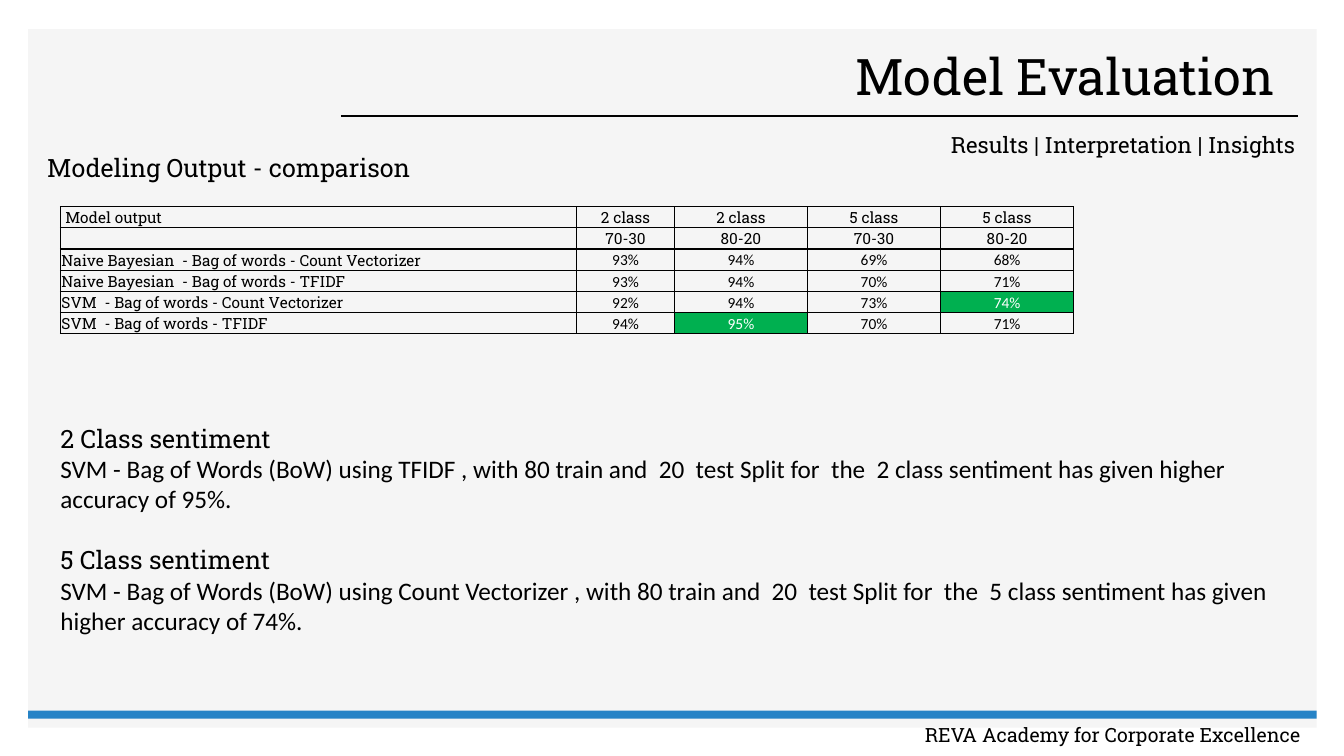
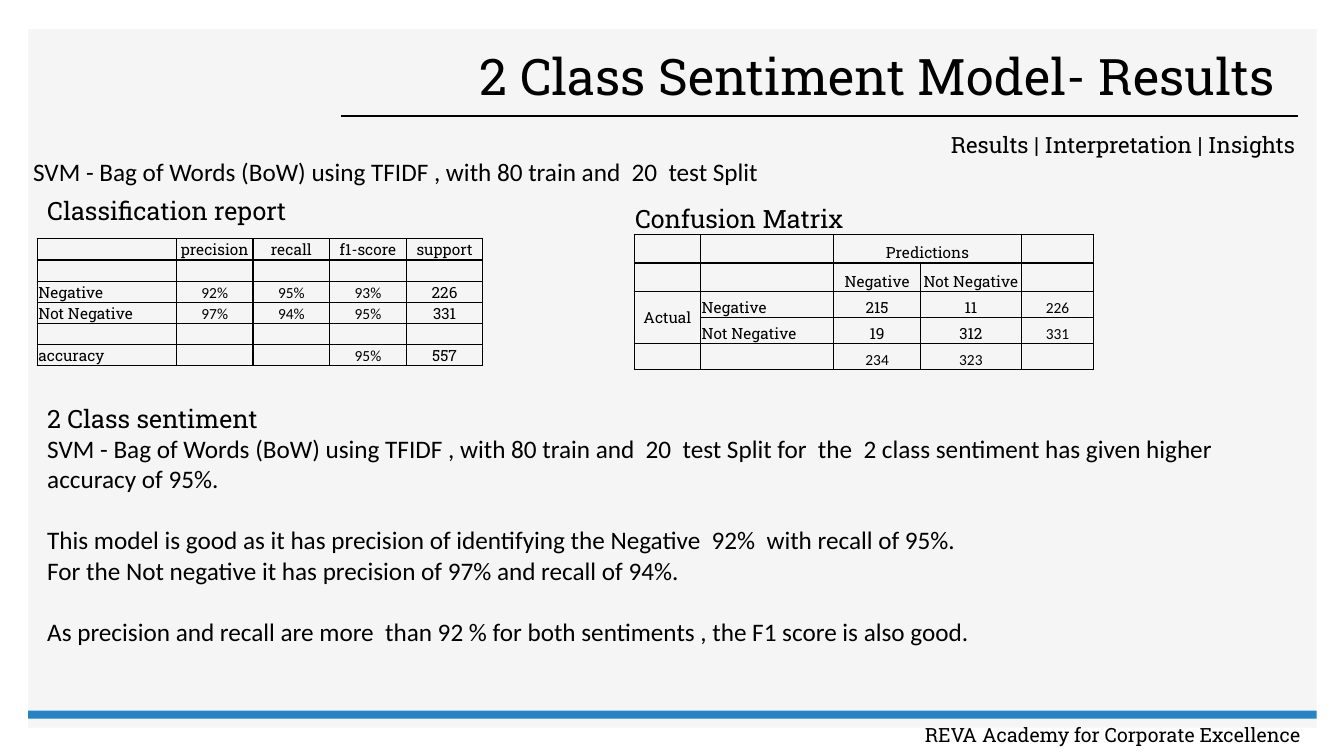
from lxml.etree import SubElement
from pptx import Presentation
from pptx.dml.color import RGBColor
from pptx.enum.shapes import MSO_CONNECTOR, MSO_SHAPE
from pptx.enum.text import MSO_ANCHOR, MSO_AUTO_SIZE, PP_ALIGN
from pptx.oxml.ns import qn
from pptx.util import Pt

PX = 9144  # 100 px to the inch
SLAB, SANS = "Roboto Slab", "Calibri"
COLORS = {
    "ink": "000000",
    "panel": "F5F5F5",
    "band": "2683C6",
    "best": "00B050",
    "white": "FFFFFF",
}


def px(*sizes):
    return [size * PX for size in sizes]


def rgb(name):
    return RGBColor.from_string(COLORS[name])


class Deck:
    """Holds the style, the presentation and the current slide."""

    def __init__(self):
        self.prs = Presentation()
        self.prs.slide_width, self.prs.slide_height = px(1333, 750)
        self.layout = self.prs.slide_layouts[5]
        for holder in list(self.layout.placeholders)[1:]:
            holder._element.getparent().remove(holder._element)
        self.slide = None

    def page(self, title):
        self.slide = self.prs.slides.add_slide(self.layout)
        if len(self.prs.slides) == 1:
            self.frame()
        head = self.slide.shapes.title
        head.left, head.top, head.width, head.height = px(370, 42, 917, 73)
        frame = head.text_frame
        frame.text = title
        frame.auto_size = MSO_AUTO_SIZE.NONE
        frame.vertical_anchor = MSO_ANCHOR.MIDDLE
        para = frame.paragraphs[0]
        para.line_spacing = 0.9
        self.style(para, 36, align=PP_ALIGN.RIGHT)
        self.text((673, 125, 627, 37), "Results | Interpretation | Insights ",
                  size=16, align=PP_ALIGN.RIGHT)

    def frame(self):
        """Draw the shared parts once and move them to the layout."""
        parts = [
            self.rect((28, 29, 1278, 693), "panel"),
            self.line(338, 115, 1287, 115),
            self.rect((28, 705, 1278, 8), "band"),
            self.text((782, 712, 523, 34),
                      "REVA Academy for Corporate Excellence ",
                      size=14, align=PP_ALIGN.RIGHT),
        ]
        for part in parts:
            self.layout.shapes._spTree.append(part._element)

    def style(self, para, size, font=SLAB, color="ink", align=PP_ALIGN.LEFT):
        para.alignment = align
        para.font.size = Pt(size)
        para.font.name = font
        para.font.color.rgb = rgb(color)

    def rect(self, box, color):
        shape = self.slide.shapes.add_shape(MSO_SHAPE.RECTANGLE, *px(*box))
        shape.shadow.inherit = False
        shape.fill.solid()
        shape.fill.fore_color.rgb = rgb(color)
        shape.line.fill.background()
        return shape

    def line(self, *ends):
        line = self.slide.shapes.add_connector(MSO_CONNECTOR.STRAIGHT,
                                               *px(*ends))
        line.line.color.rgb = rgb("ink")
        line.line.width = Pt(1)
        SubElement(line._element.spPr, qn("a:effectLst"))
        return line

    def text(self, box, words, size=18, font=SLAB, align=PP_ALIGN.LEFT):
        shape = self.slide.shapes.add_textbox(*px(*box))
        shape.text_frame.word_wrap = True
        para = shape.text_frame.paragraphs[0]
        para.text = words
        self.style(para, size, font, align=align)
        return shape

    def story(self, box, paras):
        """Add paragraphs, each given as text, font and space before."""
        frame = self.slide.shapes.add_textbox(*px(*box)).text_frame
        frame.word_wrap = True
        for i, (words, font, gap) in enumerate(paras):
            para = frame.add_paragraph() if i else frame.paragraphs[0]
            para.text = words
            if gap:
                para.space_before = Pt(gap)
            self.style(para, 18, font)

    def table(self, spot, cols, rows, data, left=0, best=(), sans=(),
              spans=()):
        """Left is the left-aligned column; best and sans list cell texts."""
        size = sum(cols), sum(rows)
        table = self.slide.shapes.add_table(len(rows), len(cols),
                                            *px(*spot, *size)).table
        table.first_row = table.horz_banding = False
        for col, width in zip(table.columns, px(*cols)):
            col.width = width
        for row, height in zip(table.rows, px(*rows)):
            row.height = height
        for r, words in enumerate(data):
            for c, word in enumerate(words):
                self.cell(table.cell(r, c), word, c == left, word in best,
                          word.endswith("%") or word in sans)
                if c == 0:
                    table.cell(r, c).vertical_anchor = MSO_ANCHOR.MIDDLE
        for first, last in spans:
            table.cell(*first).merge(table.cell(*last))

    def cell(self, cell, word, left, best, sans):
        cell.vertical_anchor = MSO_ANCHOR.BOTTOM
        cell.margin_left = cell.margin_right = cell.margin_top = PX
        cell.margin_bottom = 0
        for side in ("lnL", "lnR", "lnT", "lnB"):
            edge = SubElement(cell._tc.get_or_add_tcPr(), qn(f"a:{side}"),
                              w=str(Pt(1)))
            fill = SubElement(edge, qn("a:solidFill"))
            SubElement(fill, qn("a:srgbClr"), val=COLORS["ink"])
        if best:
            cell.fill.solid()
            cell.fill.fore_color.rgb = rgb("best")
        else:
            cell.fill.background()
        para = cell.text_frame.paragraphs[0]
        if word:
            para.text = word
        self.style(para, 11, SANS if sans else SLAB,
                   "white" if best else "ink",
                   PP_ALIGN.LEFT if left else PP_ALIGN.CENTER)
        if not word:
            SubElement(para._p, qn("a:endParaRPr"), sz="1100")


SPLIT = "SVM - Bag of Words (BoW) using {} , with 80 train and  20  test Split"
GIVEN = SPLIT + " for  the  {} class sentiment has given higher accuracy of {}."
TWO = [
    ("2 Class sentiment", SLAB, 0),
    (GIVEN.format("TFIDF", 2, "95%"), SANS, 0),
]


def compare(deck):
    deck.page("Model Evaluation ")
    deck.text((37, 146, 667, 40), "Modeling Output - comparison")
    deck.story((50, 415, 1254, 252), TWO + [
        ("5 Class sentiment", SLAB, 22),
        (GIVEN.format("Count Vectorizer", 5, "74%"), SANS, 0),
    ])
    deck.table((60, 205), [512, 97] + [132] * 3, [21] * 6, [
        (" Model output", "2 class", "2 class", "5 class", "5 class"),
        ("", "70-30", "80-20", "70-30", "80-20"),
        ("Naive Bayesian  - Bag of words - Count Vectorizer",
         "93%", "94%", "69%", "68%"),
        ("Naive Bayesian  - Bag of words - TFIDF",
         "93%", "94%", "70%", "71%"),
        ("SVM  - Bag of words - Count Vectorizer",
         "92%", "94%", "73%", "74%"),
        ("SVM  - Bag of words - TFIDF", "94%", "95%", "70%", "71%"),
    ], best=("74%", "95%"))


def results(deck):
    deck.page("2 Class Sentiment Model- Results ")
    deck.text((37, 189, 667, 40), "Classification report")
    deck.story((37, 395, 1250, 283), TWO + [
        ("This model is good as it has precision of identifying the Negative"
         "  92%  with recall of 95%.", SANS, 22),
        ("For the Not negative it has precision of 97% and recall of 94%.",
         SANS, 0),
        ("As precision and recall are more  than 92 % for both sentiments ,"
         " the F1 score is also good.", SANS, 22),
    ])
    deck.table((37, 237), [138] + [76] * 4, [21] * 6, [
        ("", "precision", "recall", "f1-score", "support"),
        ("",) * 5,
        ("Negative", "92%", "95%", "93%", "226"),
        ("Not Negative", "97%", "94%", "95%", "331"),
        ("",) * 5,
        ("accuracy", "", "", "95%", "557"),
    ])
    deck.table((629, 233), [66, 132, 86, 100, 72], [28] * 2 + [26] * 3, [
        ("", "", "Predictions", "", ""),
        ("", "", "Negative", "Not Negative", ""),
        ("Actual", "Negative", "215", "11", "226"),
        ("", "Not Negative", "19", "312", "331"),
        ("", "", "234", "323", ""),
    ], left=1, sans=("226", "331", "234", "323"),
        spans=[((0, 2), (0, 3)), ((2, 0), (3, 0))])
    deck.text((620, 197, 667, 40), "Confusion Matrix")
    deck.text((23, 150, 935, 40), SPLIT.format("TFIDF"), font=SANS)


def main():
    deck = Deck()
    compare(deck)
    results(deck)
    deck.prs.save("out.pptx")


if __name__ == "__main__":
    main()
